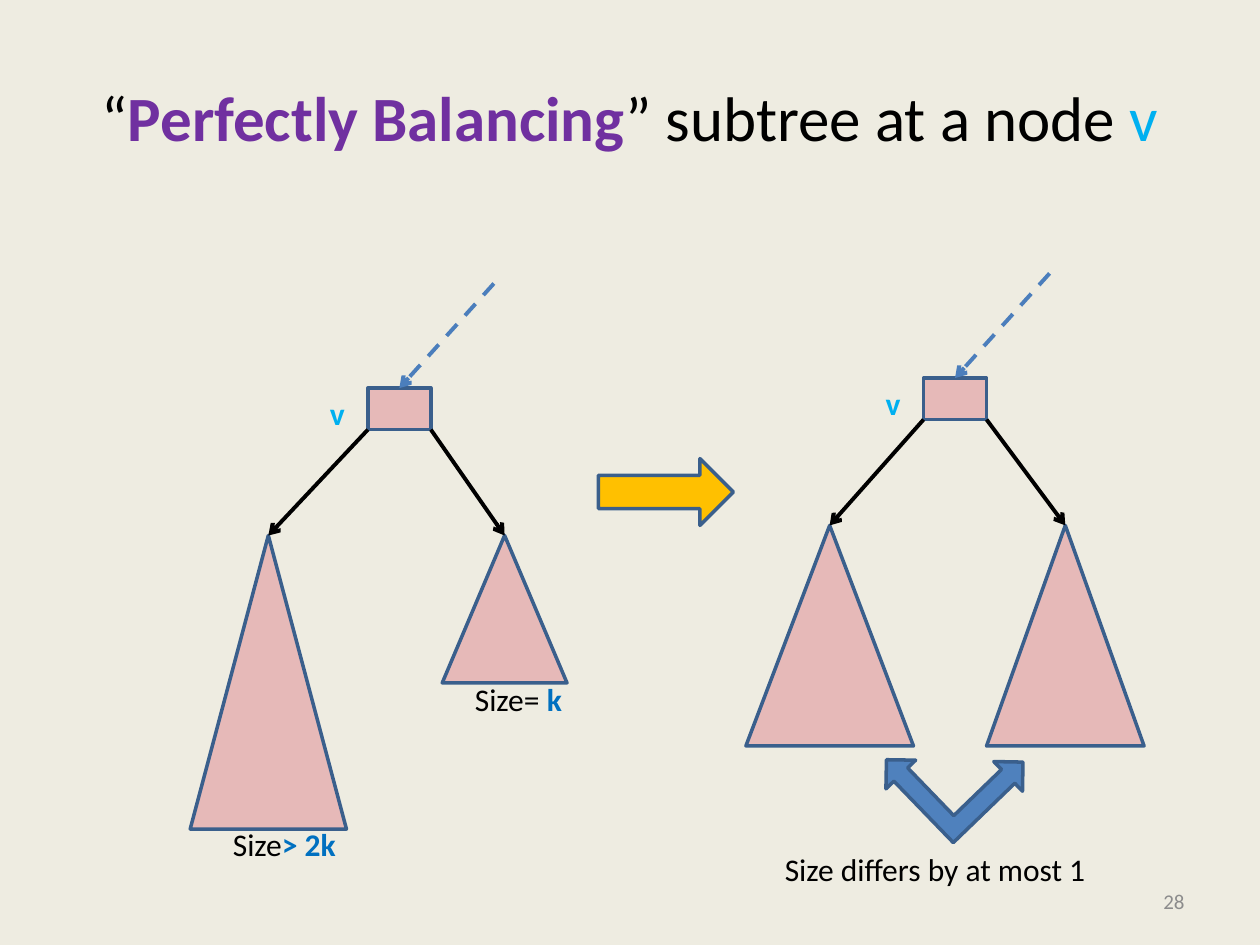
from lxml.etree import SubElement
from pptx import Presentation
from pptx.dml.color import RGBColor
from pptx.enum.dml import MSO_LINE
from pptx.enum.shapes import MSO_CONNECTOR, MSO_SHAPE
from pptx.enum.text import MSO_ANCHOR, PP_ALIGN
from pptx.oxml.ns import qn
from pptx.util import Inches, Pt

COLORS = {
    "background": "EEECE1", "black": "000000", "purple": "7030A0",
    "cyan": "00B0F0", "blue": "0070C0", "gray": "8C8C8C",
    "pink": "E6B9B8", "outline": "3A5F8C", "dashed": "4B7EBC",
    "gold": "FFC000", "arrow": "4F81BD",
}
NODE_W, NODE_H = 0.5, 0.33


def rgb(name):
    return RGBColor.from_string(COLORS[name])


def write_runs(p, runs, size):
    """Each run is (text, color, bold)."""
    for text, color, bold in runs:
        r = p.add_run()
        r.text = text
        r.font.name = "Calibri"
        r.font.size = Pt(size)
        r.font.bold = bold
        r.font.color.rgb = rgb(color)


def add_label(shapes, x, y, w, runs, size=18, align=PP_ALIGN.LEFT,
              anchor=MSO_ANCHOR.TOP, wrap=False):
    tf = shapes.add_textbox(Inches(x), Inches(y), Inches(w), Inches(0.4)).text_frame
    tf.word_wrap = wrap
    tf.vertical_anchor = anchor
    p = tf.paragraphs[0]
    p.alignment = align
    write_runs(p, runs, size)


def add_block(shapes, kind, x, y, w, h, fill="pink"):
    sp = shapes.add_shape(kind, Inches(x), Inches(y), Inches(w), Inches(h))
    sp.shadow.inherit = False
    sp.fill.solid()
    sp.fill.fore_color.rgb = rgb(fill)
    sp.line.color.rgb = rgb("outline")
    sp.line.width = Pt(2)
    return sp


def add_arrow(shapes, start, end, color="black", dashed=False):
    points = [Inches(v) for v in (*start, *end)]
    cxn = shapes.add_connector(MSO_CONNECTOR.STRAIGHT, *points)
    cxn.line.color.rgb = rgb(color)
    cxn.line.width = Pt(2.25)
    if dashed:
        cxn.line.dash_style = MSO_LINE.DASH
    SubElement(cxn.line._get_or_add_ln(), qn("a:tailEnd"), type="arrow")
    SubElement(cxn._element.spPr, qn("a:effectLst"))


def add_tree(slide, x, y, subtrees):
    """Node v at (x, y); each subtree is (left, top, width, height)."""
    shapes = slide.shapes.add_group_shape().shapes
    add_block(shapes, MSO_SHAPE.RECTANGLE, x, y, NODE_W, NODE_H)
    for corner, (left, top, w, h) in zip((x, x + NODE_W), subtrees):
        add_block(shapes, MSO_SHAPE.ISOSCELES_TRIANGLE, left, top, w, h)
        add_arrow(shapes, (corner, y + NODE_H), (left + w / 2, top))
    middle = x + NODE_W / 2
    add_arrow(shapes, (middle + 0.75, y - 0.83), (middle, y), "dashed", True)
    add_label(shapes, x - 0.4, y, 0.32, [("v", "cyan", True)])


def add_title(slide):
    title = slide.shapes.title
    title.left, title.top = Inches(0.5), Inches(0.3)
    title.width, title.height = Inches(9), Inches(1.25)
    tf = title.text_frame
    tf.vertical_anchor = MSO_ANCHOR.MIDDLE
    p = tf.paragraphs[0]
    p.alignment = PP_ALIGN.CENTER
    write_runs(p, [("“", "black", False), ("Perfectly Balancing", "purple", True),
                   ("” subtree at a node ", "black", False),
                   ("v", "cyan", False)], 36)


def main():
    prs = Presentation()
    prs.slide_width, prs.slide_height = Inches(10), Inches(7.5)
    slide = prs.slides.add_slide(prs.slide_layouts[5])
    slide.background.fill.solid()
    slide.background.fill.fore_color.rgb = rgb("background")

    # Title and slide number
    add_title(slide)
    add_label(slide.shapes, 7.17, 6.95, 2.33, [("28", "gray", False)], 12,
              PP_ALIGN.RIGHT, MSO_ANCHOR.MIDDLE, True)

    # Trees before and after balancing
    add_tree(slide, 2.92, 3.08, [(1.51, 4.25, 1.24, 2.33), (3.51, 4.25, 0.99, 1.17)])
    add_tree(slide, 7.33, 3, [(5.92, 4.17, 1.33, 1.75), (7.83, 4.17, 1.25, 1.75)])
    add_block(slide.shapes, MSO_SHAPE.RIGHT_ARROW, 4.75, 3.64, 1.07, 0.53, "gold")

    # Subtree sizes on the left
    sizes = slide.shapes.add_group_shape().shapes
    add_label(sizes, 3.67, 5.35, 0.89, [("Size= ", "black", False), ("k", "blue", True)])
    add_label(sizes, 1.75, 6.5, 1.03, [("Size", "black", False), ("> 2k", "blue", True)])

    # Size comparison on the right
    comparison = slide.shapes.add_group_shape().shapes
    sp = add_block(comparison, MSO_SHAPE.LEFT_UP_ARROW, 7.11, 5.69, 0.93, 0.93, "arrow")
    sp.rotation = 46
    for i, value in enumerate((0.163, 0.176, 0.176)):
        sp.adjustments[i] = value
    add_label(comparison, 6.13, 6.7, 2.62, [("Size differs by at most 1", "black", False)])

    prs.save("out.pptx")


main()
